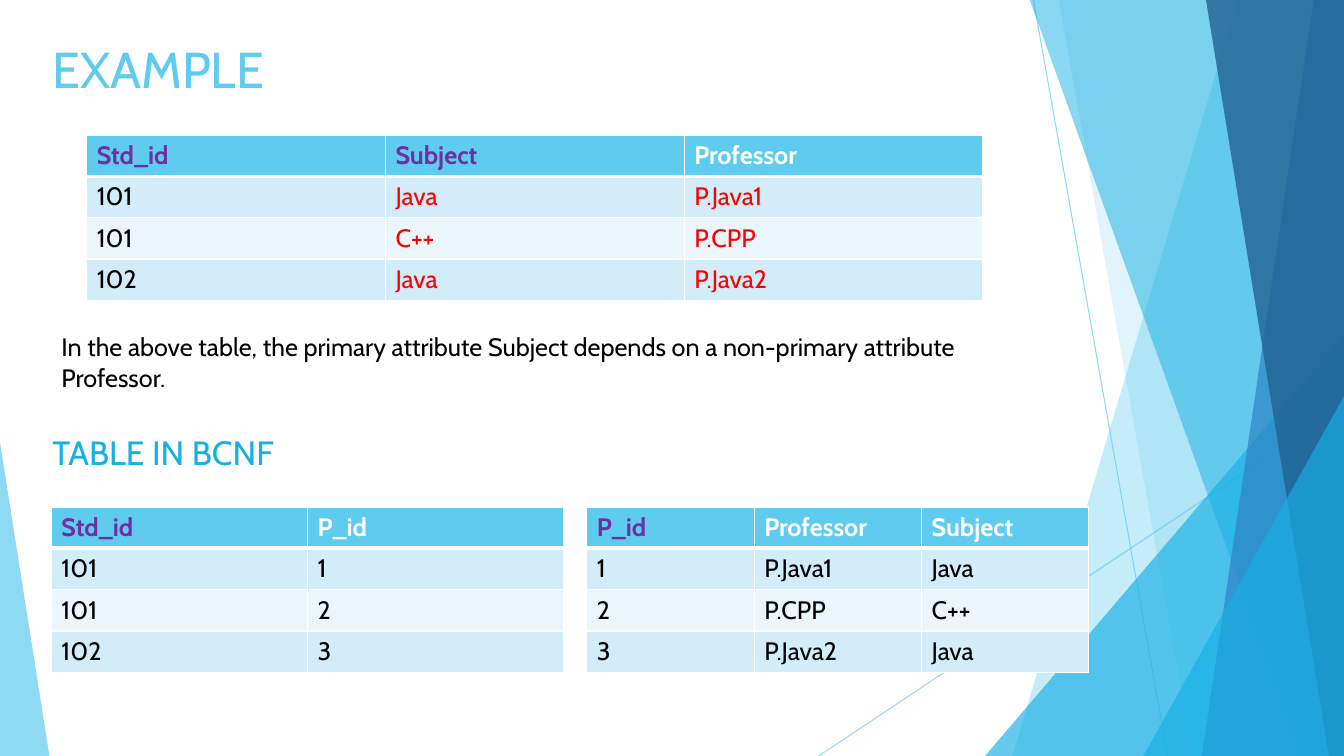
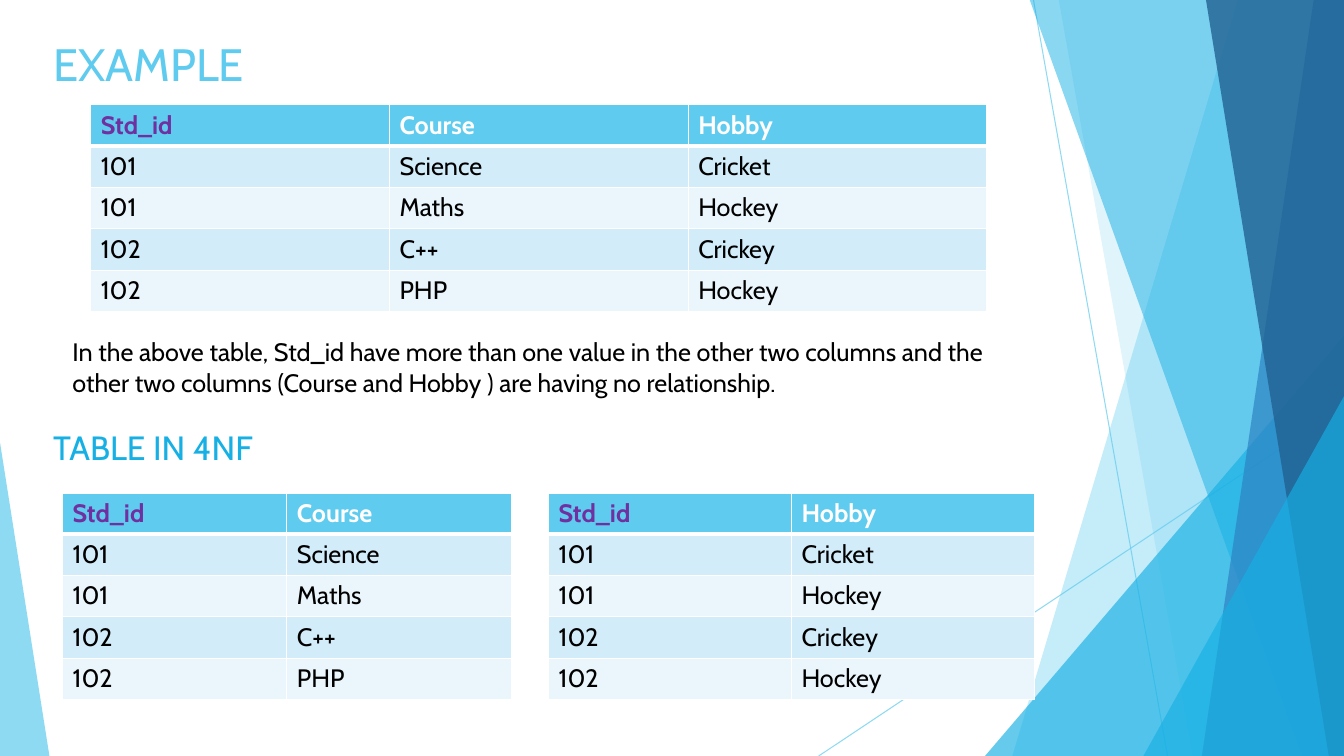
from lxml import etree
from pptx import Presentation
from pptx.dml.color import RGBColor
from pptx.enum import shapes, text
from pptx.oxml import ns
from pptx.util import Inches, Pt

# Shared style
WIDTH, HEIGHT = 13.33, 7.5
FONT = "Cabin"
SKY = RGBColor(0x5F, 0xCB, 0xEF)
CYAN = RGBColor(0x17, 0xB0, 0xE4)
BLUE = RGBColor(0x2E, 0x83, 0xC3)
NAVY = RGBColor(0x22, 0x62, 0x92)
PURPLE = RGBColor(0x70, 0x30, 0xA0)
RED = RGBColor(0xFF, 0x00, 0x00)
BLACK = RGBColor(0x00, 0x00, 0x00)
WHITE = RGBColor(0xFF, 0xFF, 0xFF)
BANDS = (RGBColor(0xD2, 0xEC, 0xF9), RGBColor(0xEA, 0xF6, 0xFC))
ROW_HEIGHT = 0.41


def add_child(parent, tag, **attrs):
    return etree.SubElement(parent, ns.qn(tag), attrs)


def set_alpha(parent, percent):
    for color in parent.iter(ns.qn("a:srgbClr")):
        add_child(color, "a:alpha", val=str(percent * 1000))


class Deck:
    def __init__(self):
        self.prs = Presentation()
        self.prs.slide_width = Inches(WIDTH)
        self.prs.slide_height = Inches(HEIGHT)
        self.slide = None

    def new_slide(self):
        self.slide = self.prs.slides.add_slide(self.prs.slide_layouts[6])
        self.backdrop()

    # Background decoration
    def backdrop(self):
        self.line(10.25, 0, 11.58, HEIGHT)
        self.line(WIDTH, 4.03, 8.12, HEIGHT)
        self.facet(12.28, 10.04, SKY, 36)
        self.facet(10.5, 11.83, SKY, 20)
        self.triangle(9.77, 3.33, 3.56, 1, CYAN, 66)
        self.facet(10.21, 12.91, CYAN, 50)
        self.facet(13.03, 11.92, BLUE, 70)
        self.facet(11.96, 13.18, NAVY, 80)
        self.triangle(11.34, 3.93, 1.99, 1, CYAN, 66)
        self.triangle(0, 4.39, 0.49, 0, SKY, 70)

    def line(self, x1, y1, x2, y2):
        sp = self.slide.shapes.add_connector(
            shapes.MSO_CONNECTOR.STRAIGHT,
            Inches(x1), Inches(y1), Inches(x2), Inches(y2))
        sp.line.color.rgb = SKY
        sp.line.width = Pt(0.75)
        props = sp._element.spPr
        set_alpha(props, 70)
        add_child(props, "a:effectLst")

    def paint(self, sp, color, alpha):
        sp.shadow.inherit = False
        sp.line.fill.background()
        sp.fill.solid()
        sp.fill.fore_color.rgb = color
        set_alpha(sp._element.spPr, alpha)

    def facet(self, top_x, bottom_x, color, alpha):
        """Area from a slanted left edge to the right side of the slide."""
        top = -0.01
        builder = self.slide.shapes.build_freeform(
            Inches(top_x), Inches(top))
        builder.add_line_segments(
            [(Inches(x), Inches(y)) for x, y in
             ((WIDTH, top), (WIDTH, HEIGHT), (bottom_x, HEIGHT))])
        self.paint(builder.convert_to_shape(), color, alpha)

    def triangle(self, x, y, width, apex, color, alpha):
        """Triangle that stands on the bottom edge of the slide."""
        sp = self.slide.shapes.add_shape(
            shapes.MSO_SHAPE.ISOSCELES_TRIANGLE,
            Inches(x), Inches(y), Inches(width), Inches(HEIGHT - y))
        sp.adjustments[0] = apex
        self.paint(sp, color, alpha)

    # Text
    def style(self, p, size, color, bold=False):
        for r in p.runs:
            r.font.name = FONT
            r.font.size = Pt(size)
            r.font.bold = bold
            r.font.color.rgb = color

    def label(self, words, x, y, width, height, size, color):
        sp = self.slide.shapes.add_textbox(
            Inches(x), Inches(y), Inches(width), Inches(height))
        tf = sp.text_frame
        tf.word_wrap = True
        tf.vertical_anchor = text.MSO_ANCHOR.TOP
        tf.text = words
        self.style(tf.paragraphs[0], size, color)

    def title(self, words, x, y, width, height, size):
        self.label(words, x, y, width, height, size, SKY)

    def subtitle(self, words, x, y, width):
        self.label(words, x, y, width, 0.5, 24, CYAN)

    def note(self, words, x, y, width):
        self.label(words, x, y, width, 0.71, 18, BLACK)

    # Tables
    def borders(self, cell, row):
        props = cell._tc.get_or_add_tcPr()
        widths = {"L": 1, "R": 1,
                  "T": 3 if row == 1 else 1,
                  "B": 3 if row == 0 else 1}
        for side, points in widths.items():
            ln = add_child(props, f"a:ln{side}", w=str(Pt(points)))
            fill = add_child(ln, "a:solidFill")
            add_child(fill, "a:srgbClr", val=str(WHITE))

    def table(self, x, y, width, rows, keys=1, red_columns=()):
        """The first `keys` headings are purple; red columns have red values."""
        columns = len(rows[0])
        tbl = self.slide.shapes.add_table(
            len(rows), columns, Inches(x), Inches(y),
            Inches(width), Inches(ROW_HEIGHT * len(rows))).table
        for i, row in enumerate(rows):
            tbl.rows[i].height = Inches(ROW_HEIGHT)
            for j, value in enumerate(row):
                cell = tbl.cell(i, j)
                self.borders(cell, i)
                cell.fill.solid()
                if i == 0:
                    fill, color = SKY, PURPLE if j < keys else WHITE
                else:
                    fill = BANDS[(i - 1) % 2]
                    color = RED if j in red_columns else BLACK
                cell.fill.fore_color.rgb = fill
                cell.text_frame.text = value
                self.style(cell.text_frame.paragraphs[0], 18, color, i == 0)


def pick(rows, *columns):
    return [[row[c] for c in columns] for row in rows]


def main():
    deck = Deck()

    # Boyce-Codd normal form
    subjects = [("Std_id", "Subject", "Professor", "P_id"),
                ("101", "Java", "P.Java1", "1"),
                ("101", "C++", "P.CPP", "2"),
                ("102", "Java", "P.Java2", "3")]
    deck.new_slide()
    deck.title("EXAMPLE", 0.42, 0.33, 2.72, 0.72, 36)
    deck.table(0.86, 1.34, 8.89, pick(subjects, 0, 1, 2),
               keys=2, red_columns=(1, 2))
    deck.note("In the above table, the primary attribute Subject depends on "
              "a non-primary attribute Professor.", 0.51, 3.24, 10.11)
    deck.subtitle("TABLE IN BCNF", 0.42, 4.24, 4.31)
    deck.table(0.51, 5.03, 5.08, pick(subjects, 0, 3))
    deck.table(5.82, 5.03, 4.98, pick(subjects, 3, 2, 1))

    # Fourth normal form
    hobbies = [("Std_id", "Course", "Hobby"),
               ("101", "Science", "Cricket"),
               ("101", "Maths", "Hockey"),
               ("102", "C++", "Crickey"),
               ("102", "PHP", "Hockey")]
    deck.new_slide()
    deck.title("EXAMPLE", 0.43, 0.31, 2.37, 0.57, 32.4)
    deck.table(0.9, 1.04, 8.89, hobbies)
    deck.note("In the above table, Std_id have more than one value in the "
              "other two columns and the other two columns (Course and "
              "Hobby ) are having no relationship.", 0.62, 3.29, 9.64)
    deck.subtitle("TABLE IN 4NF", 0.43, 4.19, 3.14)
    deck.table(0.62, 4.89, 4.45, pick(hobbies, 0, 1))
    deck.table(5.44, 4.89, 4.82, pick(hobbies, 0, 2))

    deck.prs.save("out.pptx")


if __name__ == "__main__":
    main()
